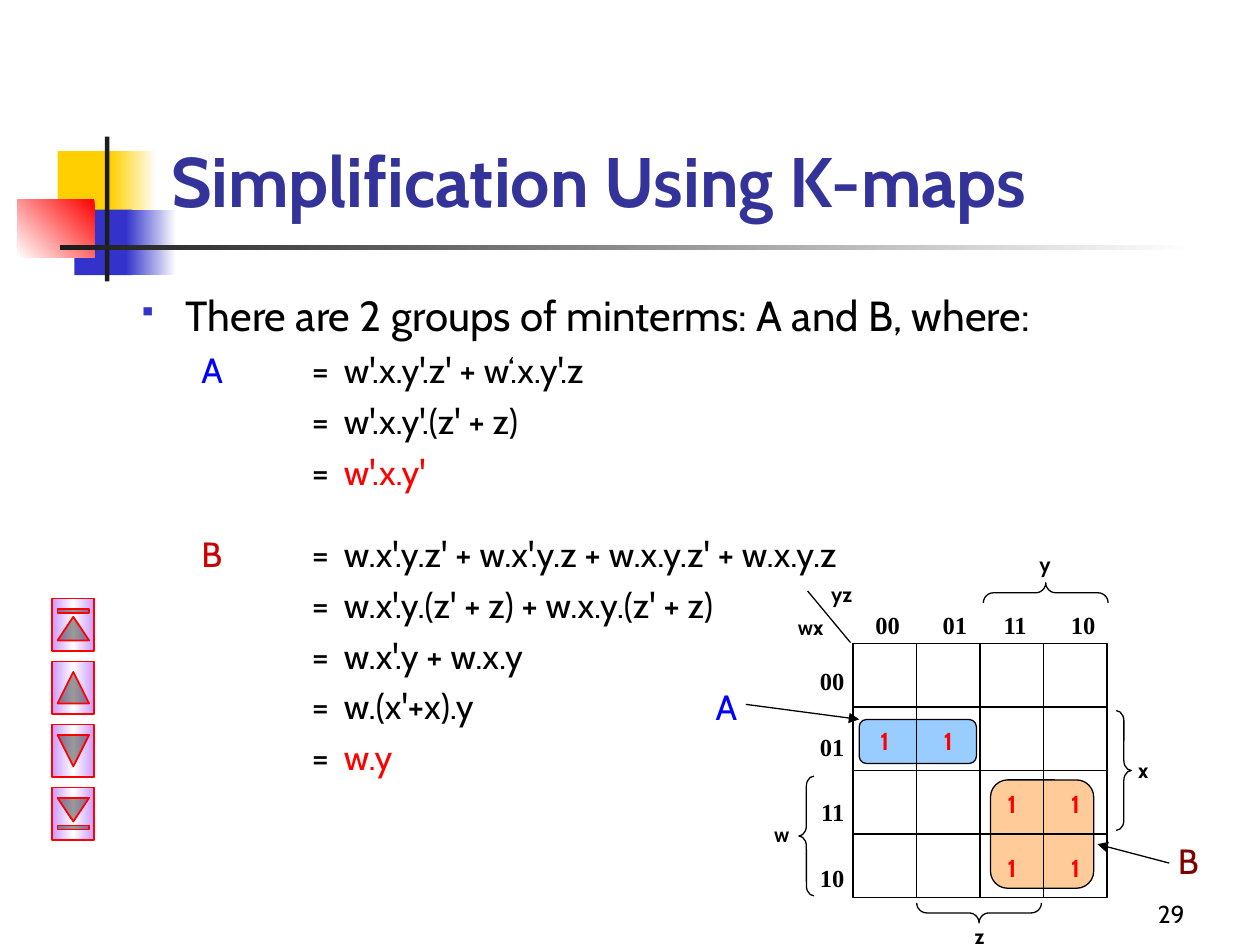
import pptx
import pptx.dml.color
import pptx.enum.shapes
import pptx.enum.text
import pptx.oxml
import pptx.oxml.ns
import pptx.util

Pt = pptx.util.Pt
SHAPE = pptx.enum.shapes.MSO_SHAPE
ALIGN = pptx.enum.text.PP_ALIGN
ANCHOR = pptx.enum.text.MSO_ANCHOR
NS = pptx.oxml.ns.nsdecls("a")

BLACK, WHITE, RED, BLUE = "000000", "FFFFFF", "FF0000", "0000FF"
YELLOW, INDIGO, CHARCOAL, LILAC = "FFCF01", "3333CC", "1C1C1C", "CC99FF"


def rgb(value):
    return pptx.dml.color.RGBColor.from_string(value)


def add_xml(parent, xml):
    """Append a DrawingML fragment written without its namespace."""
    tag_end = min(i for i in (xml.find(" "), xml.find(">"), xml.find("/>")) if i > 0)
    parent.append(pptx.oxml.parse_xml(f"{xml[:tag_end]} {NS}{xml[tag_end:]}"))


class SlideBuilder:
    font = "Cabin"
    serif = "Times New Roman"
    thin = 0.75

    def __init__(self, slide):
        self.slide = slide

    def shape(self, kind, left, top, width, height, fill=None, line=None,
              weight=thin, rotation=0):
        item = self.slide.shapes.add_shape(kind, Pt(left), Pt(top), Pt(width), Pt(height))
        item.shadow.inherit = False
        item.rotation = rotation
        if fill:
            item.fill.solid()
            item.fill.fore_color.rgb = rgb(fill)
        else:
            item.fill.background()
        if line:
            item.line.color.rgb = rgb(line)
            item.line.width = Pt(weight)
        else:
            item.line.fill.background()
        return item

    def gradient(self, item, angle, *colours):
        """Spread the colours evenly over the shape, angle clockwise."""
        item.fill.gradient()
        grad = item._element.spPr.find(pptx.oxml.ns.qn("a:gradFill"))
        stops = grad.find(pptx.oxml.ns.qn("a:gsLst"))
        for stop in list(stops):
            stops.remove(stop)
        for i, colour in enumerate(colours):
            position = 100000 * i // (len(colours) - 1)
            add_xml(stops, f'<a:gs pos="{position}"><a:srgbClr val="{colour}"/></a:gs>')
        item.fill.gradient_angle = (360 - angle) % 360

    def brace(self, kind, left, top, width, height, curve, rotation=0):
        item = self.shape(kind, left, top, width, height, None, BLACK, rotation=rotation)
        item.adjustments[0] = curve

    def line(self, x1, y1, x2, y2, arrow=False):
        item = self.slide.shapes.add_connector(
            pptx.enum.shapes.MSO_CONNECTOR.STRAIGHT, Pt(x1), Pt(y1), Pt(x2), Pt(y2))
        item.line.color.rgb = rgb(BLACK)
        item.line.width = Pt(self.thin)
        if arrow:
            add_xml(item.line._get_or_add_ln(), '<a:tailEnd type="triangle"/>')
        add_xml(item._element.spPr, "<a:effectLst/>")

    def box(self, left, top, width, height, anchor=ANCHOR.TOP):
        frame = self.slide.shapes.add_textbox(
            Pt(left), Pt(top), Pt(width), Pt(height)).text_frame
        frame.word_wrap = True
        frame.vertical_anchor = anchor
        return frame

    def paragraph(self, frame, runs, size, align=ALIGN.LEFT, before=0, after=0,
                  tabs=(), bold=False, font=font, bullet=None):
        """Add a paragraph from (text, colour) runs."""
        first = not frame.paragraphs[0].runs
        para = frame.paragraphs[0] if first else frame.add_paragraph()
        para.alignment = align
        para.space_before = Pt(0 if first else before)
        para.space_after = Pt(after)
        props = para._p.get_or_add_pPr()
        if bullet:
            props.set("marL", str(Pt(27)))
            props.set("indent", str(Pt(-27)))
            add_xml(props, f'<a:buClr><a:srgbClr val="{bullet}"/></a:buClr>')
            add_xml(props, '<a:buSzPct val="60000"/>')
            add_xml(props, '<a:buChar char="▪"/>')
        if tabs:
            stops = "".join(f'<a:tab pos="{Pt(t)}" algn="l"/>' for t in tabs)
            add_xml(props, f"<a:tabLst>{stops}</a:tabLst>")
        for text, colour in runs:
            run = para.add_run()
            run.text = text
            run.font.name, run.font.size, run.font.bold = font, Pt(size), bold
            run.font.color.rgb = rgb(colour)
        return para

    def label(self, text, left, top, width, height, size=12, colour=BLACK, bold=True):
        self.paragraph(self.box(left, top, width, height), [(text, colour)], size,
                       ALIGN.CENTER, bold=bold)


def draw_ornament(b):
    b.shape(SHAPE.RECTANGLE, 33, 86.4, 34.5, 37.5, YELLOW)
    for area, angle, colours in (
            ((63.4, 86.4, 26, 37.5), 180, (WHITE, YELLOW)),
            ((72, 119.8, 28.8, 37.4), 180, (WHITE, INDIGO)),
            ((10, 113.8, 44, 33.2), 135, (RED, WHITE)),
            ((34.5, 140.2, 648, 2.5), 180, (WHITE, CHARCOAL))):
        if colours[1] == INDIGO:
            b.shape(SHAPE.RECTANGLE, 42.5, 119.8, 33.1, 37.4, INDIGO)
        if colours[1] == CHARCOAL:
            b.shape(SHAPE.RECTANGLE, 60, 78, 2.5, 82.8, CHARCOAL)
        b.gradient(b.shape(SHAPE.RECTANGLE, *area), angle, *colours)


def draw_derivations(b):
    title = b.box(90.7, 49, 613.4, 81.4, ANCHOR.BOTTOM)
    b.paragraph(title, [("Simplification Using K-maps", "333399")], 40, bold=True)
    body = b.box(72, 162, 629.3, 288.7)
    b.paragraph(body, [("There are 2 groups of minterms: A and B, where:", BLACK)], 24,
                bullet=INDIGO)
    derivations = (
        ("A", BLUE, 18, ("w'.x.y'.z' + w‘.x.y'.z", "w'.x.y'.(z' + z)", "w'.x.y'")),
        ("B", "CC0000", 0, ("w.x'.y.z' + w.x'.y.z + w.x.y.z' + w.x.y.z",
                            "w.x'.y.(z' + z) + w.x.y.(z' + z)",
                            "w.x'.y + w.x.y", "w.(x'+x).y", "w.y")))
    for group, colour, gap, steps in derivations:
        for i, step in enumerate(steps):
            last = i == len(steps) - 1
            name = group if i == 0 else ""
            b.paragraph(body, [(f"\t{name}\t", colour), ("=\t", BLACK),
                               (step, RED if last else BLACK)], 20,
                        before=5, after=gap if last else 0, tabs=(36, 99, 117.5))


def draw_karnaugh_map(b):
    left, top, cell = 487.4, 367.7, 36.3
    side = 4 * cell
    b.shape(SHAPE.FLOWCHART_ALTERNATE_PROCESS, 566, 445.7, 59, 61.9, "FFCC99", BLACK)
    b.shape(SHAPE.FLOWCHART_ALTERNATE_PROCESS, 491, 411.1, 67, 25.2, "99CCFF", BLACK)
    b.shape(SHAPE.RECTANGLE, left, top, side, side, None, BLACK)
    for i in range(1, 4):
        offset = i * cell
        b.line(left, top + offset, left + side, top + offset)
        b.line(left + offset, top, left + offset, top + side)
    for row, column in ((1, 0), (1, 1), (2, 2), (2, 3), (3, 2), (3, 3)):
        b.label("1", left + column * cell, top + row * cell + 7.2, cell, 28.8, 14, RED)

    codes = ("00", "01", "11", "10")
    b.paragraph(b.box(493.2, 344.9, 149, 28.8), [("\t".join(codes), BLACK)], 14,
                tabs=(38.4, 73.2, 111.6), bold=True, font=b.serif)
    row_codes = b.box(450, 375.1, 39.6, 150.5)
    for code in codes:
        para = b.paragraph(row_codes, [(code, BLACK)], 14, ALIGN.RIGHT, before=19.2,
                           bold=True, font=b.serif)
        para.line_spacing = 1.1

    b.line(486, 367.2, 461.5, 337.7)
    b.brace(SHAPE.LEFT_BRACE, 456.5, 443.5, 8.6, 68.4, 0.67)
    b.brace(SHAPE.RIGHT_BRACE, 637.9, 406.1, 8.6, 68.4, 0.67)
    b.brace(SHAPE.LEFT_BRACE, 591.8, 303.1, 11.5, 71.3, 0.5, 90)
    b.brace(SHAPE.LEFT_BRACE, 553.7, 486, 11.5, 71.3, 0.5, 270)
    for variable, *area in (
            ("w", 433.4, 465.8, 26.6, 28.8), ("x", 640.1, 429.1, 26.6, 28.8),
            ("y", 583.9, 311.8, 26.6, 21.6), ("z", 546.5, 524.2, 26.6, 21.6),
            ("wx", 444.2, 347.8, 38.2, 25.9), ("yz", 465.1, 329, 31.7, 23)):
        b.label(variable, *area)
    b.label("A", 401.8, 388.1, 24.5, 36, 20, BLUE, False)
    b.label("B", 666, 475.9, 24.5, 36, 20, "800000", False)
    b.line(426.2, 402.5, 491, 411.1, arrow=True)
    b.line(668.2, 493.2, 627.1, 482.4, arrow=True)


def draw_navigation(b):
    buttons = (SHAPE.ACTION_BUTTON_BEGINNING, SHAPE.ACTION_BUTTON_BACK_OR_PREVIOUS,
               SHAPE.ACTION_BUTTON_FORWARD_OR_NEXT, SHAPE.ACTION_BUTTON_END)
    for i, kind in enumerate(buttons):
        button = b.shape(kind, 26.9, 345 + 36 * i, 30, 24, None, RED, 1, 90)
        b.gradient(button, 90, LILAC, WHITE, LILAC)


def main():
    deck = pptx.Presentation()
    deck.slide_width, deck.slide_height = Pt(720), Pt(540)
    b = SlideBuilder(deck.slides.add_slide(deck.slide_layouts[6]))
    draw_ornament(b)
    draw_derivations(b)
    draw_karnaugh_map(b)
    draw_navigation(b)
    page = b.box(534.2, 498.2, 149.8, 36, ANCHOR.BOTTOM)
    b.paragraph(page, [("29", BLACK)], 14, ALIGN.RIGHT)
    deck.save("out.pptx")


if __name__ == "__main__":
    main()
